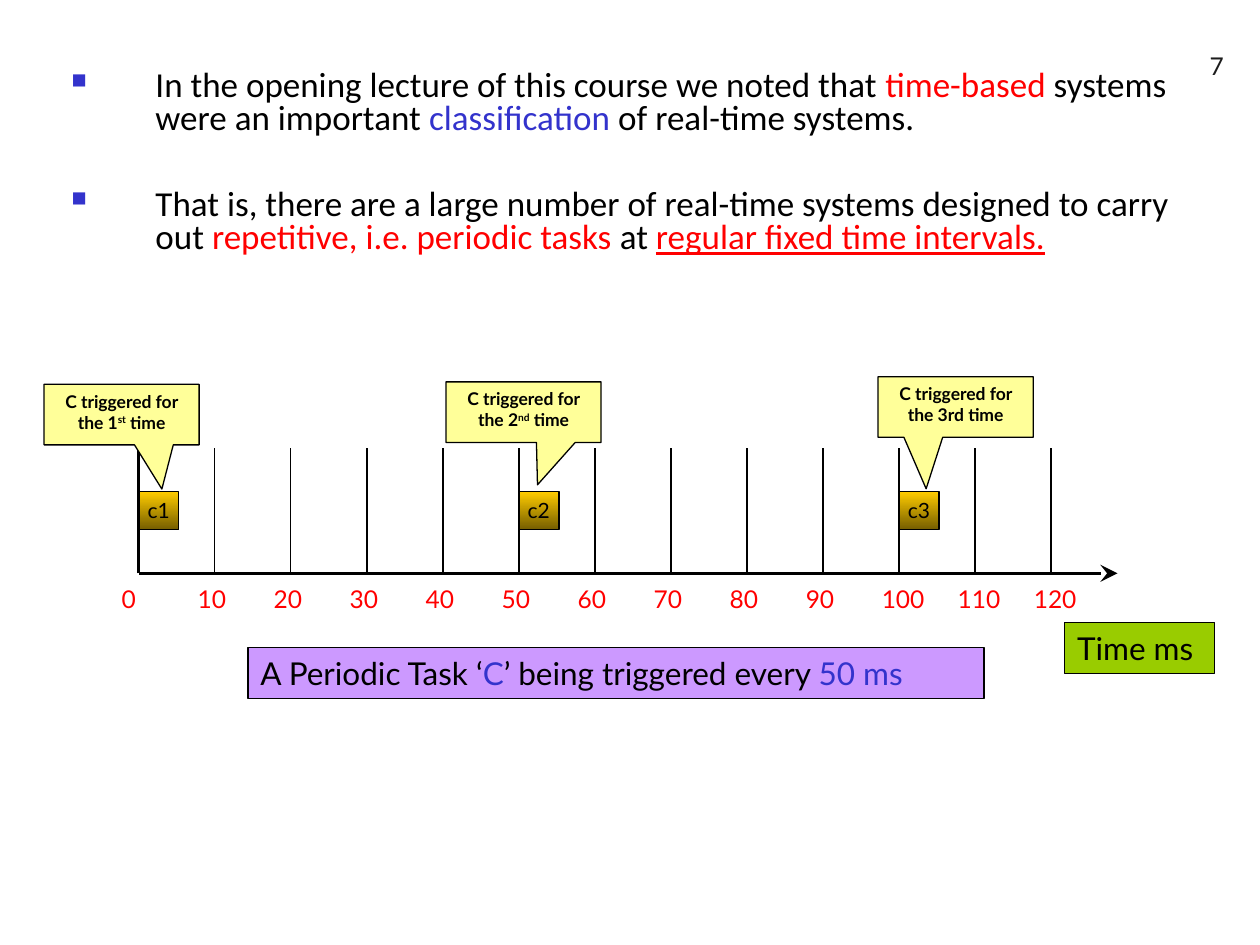
import pptx
import pptx.util
import pptx.dml.color
import pptx.enum.shapes
import pptx.enum.text
import pptx.oxml
import pptx.oxml.ns

Pt = pptx.util.Pt
SHAPE = pptx.enum.shapes.MSO_SHAPE
ALIGN = pptx.enum.text.PP_ALIGN
ANCHOR = pptx.enum.text.MSO_ANCHOR
C = {
    "ink": "000000", "number": "1C1C1C", "red": "FF0000", "blue": "3333CC",
    "gold": "FFCC00", "bronze": "765E00", "note": "FFFF99",
    "violet": "CC99FF", "green": "99CC00",
}


def rgb(name):
    """Return the named colour."""
    return pptx.dml.color.RGBColor.from_string(C[name])


def add_runs(p, runs, size, font="Lato", color="ink", bold=False):
    """Add (text, changes) runs to a paragraph."""
    for text, changes in runs:
        r = p.add_run()
        r.text = text
        fmt = {"name": font, "size": Pt(size), "bold": bold}
        if changes.get("underline"):
            fmt["underline"] = True
        for key, value in fmt.items():
            setattr(r.font, key, value)
        r.font.color.rgb = rgb(changes.get("color", color))
        if "baseline" in changes:
            r.font._element.set("baseline", str(changes["baseline"]))


def setup_frame(sp, wrap=True, anchor=ANCHOR.TOP, align=ALIGN.LEFT):
    """Set the text frame of a shape and return its first paragraph."""
    tf = sp.text_frame
    for key, value in {"word_wrap": wrap, "vertical_anchor": anchor}.items():
        setattr(tf, key, value)
    p = tf.paragraphs[0]
    p.alignment = align
    return p


def add_text(s, box, runs, size, color="ink", **frame):
    """Add a plain one-paragraph text box."""
    sp = s.shapes.add_textbox(*map(Pt, box))
    add_runs(setup_frame(sp, **frame), runs, size, color=color)


def add_box(s, box, runs, size, fill=None, kind=SHAPE.RECTANGLE, bold=False, **frame):
    """Add an outlined shape with text, gold gradient unless filled."""
    sp = s.shapes.add_shape(kind, *map(Pt, box))
    sp.shadow.inherit = False
    if fill:
        sp.fill.solid()
        sp.fill.fore_color.rgb = rgb(fill)
    else:
        sp.fill.gradient()
        sp.fill.gradient_angle = 270
        for stop, name in zip(sp.fill.gradient_stops, ("gold", "bronze")):
            stop.color.rgb = rgb(name)
    sp.line.color.rgb = rgb("ink")
    sp.line.width = Pt(0.75)
    add_runs(setup_frame(sp, **frame), runs, size, bold=bold)
    return sp


def add_line(s, x1, y1, x2, y2, width, arrow=False):
    """Add a straight line, with an arrowhead at its end if asked."""
    cx = s.shapes.add_connector(
        pptx.enum.shapes.MSO_CONNECTOR.STRAIGHT, *map(Pt, (x1, y1, x2, y2)))
    cx.line.color.rgb = rgb("ink")
    cx.line.width = Pt(width)
    if arrow:
        ln = cx.line._get_or_add_ln()
        pptx.oxml.ns.qn("a:tailEnd")
        ln.append(pptx.oxml.parse_xml(
            f'<a:tailEnd {pptx.oxml.ns.nsdecls("a")} type="stealth" w="lg" len="lg"/>'))
    cx._element.spPr.append(pptx.oxml.parse_xml(
        f'<a:effectLst {pptx.oxml.ns.nsdecls("a")}/>'))


def add_bullets(s, box, items):
    """Add the bulleted statements."""
    tf = s.shapes.add_textbox(*map(Pt, box)).text_frame
    tf.word_wrap = True
    for i, runs in enumerate(items):
        p = tf.add_paragraph() if i else tf.paragraphs[0]
        fmt = {"line_spacing": 0.8, "space_before": Pt(29.5 if i else 0)}
        for key, value in fmt.items():
            setattr(p, key, value)
        pPr = p._p.get_or_add_pPr()
        pPr.set("marL", str(Pt(48)))
        pPr.set("indent", str(Pt(-48)))
        for xml in (
            f'<a:buClr %s><a:srgbClr val="{C["blue"]}"/></a:buClr>',
            '<a:buSzPct %s val="60000"/>',
            '<a:buChar %s char="■"/>',
        ):
            pPr.append(pptx.oxml.parse_xml(xml % pptx.oxml.ns.nsdecls("a")))
        add_runs(p, runs, 20, font="Calibri")


def add_timeline(s, x, y, w, h, step, triggers):
    """Draw the time axis with its ticks, labels, tasks and callouts."""
    base = y + h
    for i, (tick, *_) in enumerate(triggers, 1):
        add_box(s, (x + tick * step, y + 24.7, 23, 21.6), [(f"c{i}", {})], 12,
                wrap=False, anchor=ANCHOR.MIDDLE, align=ALIGN.CENTER)
    add_line(s, x, base, x + w, base, 1.5, arrow=True)
    for i in range(13):
        tx = x + i * step
        add_line(s, tx, base, tx, y, 1 if i else 1.5)
        add_text(s, (tx - 16.8, base + 2.4, 41.5 if i > 9 else 33.8, 24.5),
                 [(str(i * 10), {})], 14, color="red")
    for _, dx, dy, tip, runs in triggers:
        sp = add_box(s, (x + dx, y + dy, 88.6, 34.6), runs, 10, fill="note",
                     kind=SHAPE.RECTANGULAR_CALLOUT, bold=True, align=ALIGN.CENTER)
        for i, value in enumerate(tip):
            sp.adjustments[i] = value


def main():
    """Build and save the slide."""
    prs = pptx.Presentation()
    prs.slide_width, prs.slide_height = Pt(720), Pt(540)
    s = prs.slides.add_slide(prs.slide_layouts[6])
    red, blue = {"color": "red"}, {"color": "blue"}
    add_text(s, (556.6, 13.7, 149.8, 36), [("7", {})], 14, color="number",
             anchor=ANCHOR.BOTTOM, align=ALIGN.RIGHT)
    add_bullets(s, (33.8, 36.7, 664.6, 476.6), [
        [("In the opening lecture of this course we noted that ", {}),
         ("time-based", red), (" systems were an important ", {}),
         ("classification", blue), (" of real-time systems.", {})],
        [("That is, there are a large number of real-time systems designed to carry out ", {}),
         ("repetitive, i.e. periodic tasks ", red), ("at ", {}),
         ("regular fixed time intervals.", {"color": "red", "underline": True})],
    ])
    add_timeline(s, 79.2, 256.3, 559.4, 71.3, 43.44, [
        (0, -54, -36.7, (0.26, 1.23),
         [("C triggered for the 1", {}), ("st", {"baseline": 30000}), (" time", {})]),
        (5, 175.7, -38.1, (0.09, 1.2),
         [("C triggered for the 2", {}), ("nd", {"baseline": 30000}), (" time", {})]),
        (10, 422.6, -41, (-0.19, 1.35), [("C triggered for the 3rd time", {})]),
    ])
    add_box(s, (141.8, 370, 420.5, 29), [
        ("A Periodic Task ‘", {}), ("C", blue),
        ("’ being triggered every ", {}), ("50 ms", blue)], 18, fill="violet")
    add_box(s, (608.4, 355.7, 85.7, 29), [("Time ms", {})], 18, fill="green")
    prs.save("out.pptx")


if __name__ == "__main__":
    main()
